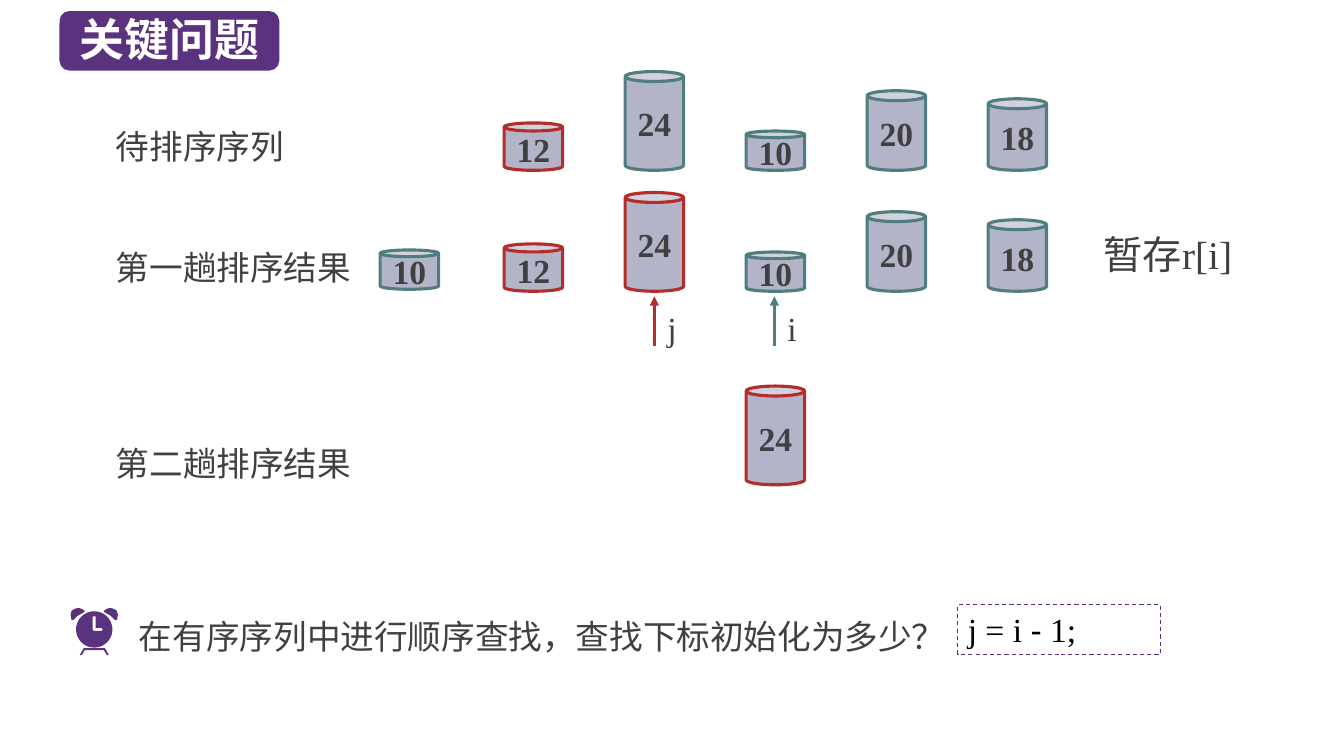
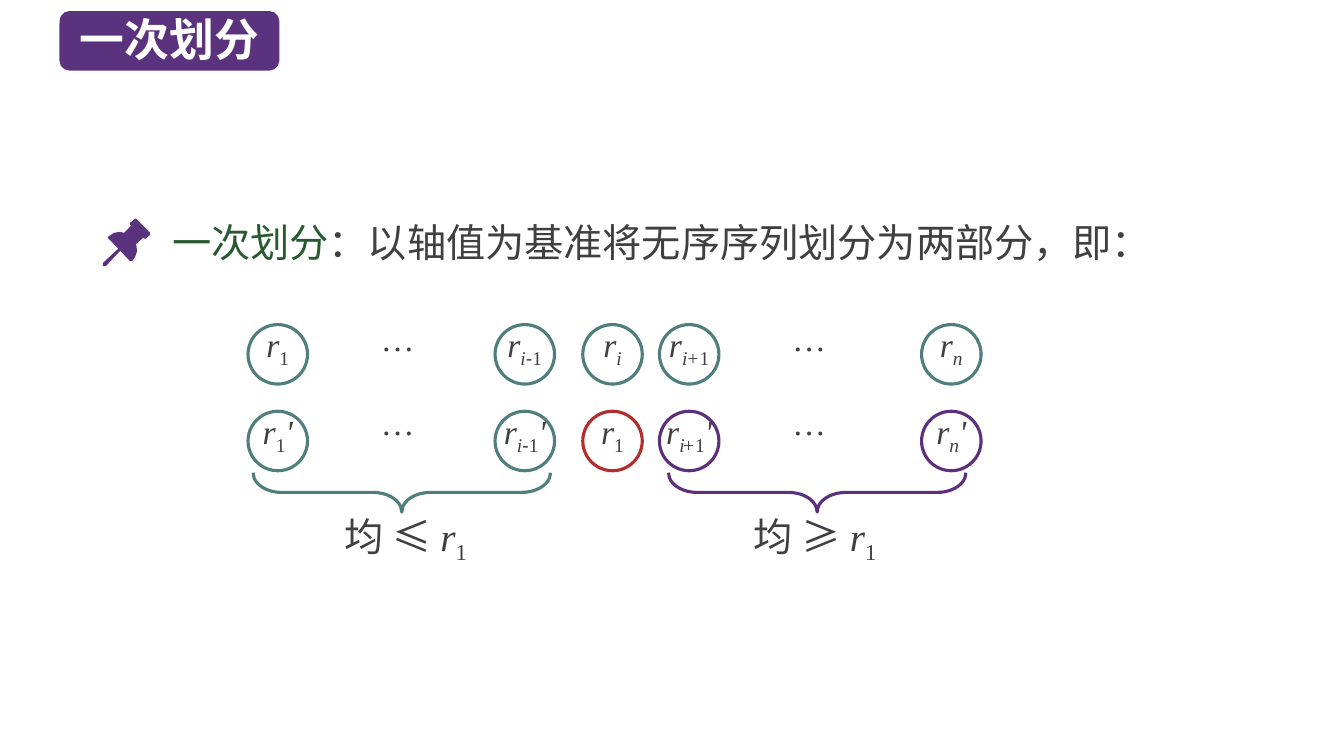
from dataclasses import dataclass
from itertools import product
from math import cos, pi, sin
from typing import NamedTuple, Optional

from lxml.etree import SubElement
from pptx import Presentation
from pptx.dml.color import RGBColor
from pptx.enum.dml import MSO_LINE_DASH_STYLE as Dash
from pptx.enum.shapes import MSO_CONNECTOR as Connector, MSO_SHAPE as Preset
from pptx.enum.text import MSO_ANCHOR as Anchor, PP_ALIGN as Align
from pptx.oxml.ns import qn
from pptx.util import Inches, Pt

PURPLE = RGBColor(0x5A, 0x32, 0x7D)
VIOLET = RGBColor(0x5C, 0x30, 0x7D)
TEAL = RGBColor(0x50, 0x7D, 0x7D)
RED = RGBColor(0xB4, 0x2D, 0x2D)
GREEN = RGBColor(0x28, 0x5A, 0x32)
LAVENDER = RGBColor(0xB4, 0xB4, 0xC8)
GRAY = RGBColor(0x40, 0x40, 0x40)
BLACK = RGBColor(0, 0, 0)
WHITE = RGBColor(0xFF, 0xFF, 0xFF)
SERIF = "Times New Roman"
SANS = "Noto Sans CJK SC"

CAN_HEIGHTS = {10: 0.39, 12: 0.47, 18: 0.71, 20: 0.79, 24: 0.98}
CAN_WIDTH = 0.58
FIRST_CAN, CAN_STEP = 5.0, 1.2
CIRCLE_SIZE = 0.59


class Box(NamedTuple):
    left: float
    top: float
    width: float
    height: float


class Piece(NamedTuple):
    text: str
    italic: bool = False
    subscript: bool = False
    font: Optional[str] = None
    color: Optional[RGBColor] = None


@dataclass
class Style:
    size: float = 24
    color: RGBColor = GRAY
    font: str = SERIF
    bold: bool = False
    align: Align = Align.LEFT
    line_spacing: Optional[float] = None
    tracking: float = 0


class Can(NamedTuple):
    value: int
    left: float
    bottom: float
    color: RGBColor


class Element(NamedTuple):
    left: float
    index: str
    color: RGBColor
    prime: bool = False
    tracking: float = 0


class Half(NamedTuple):
    brace_left: float
    text_left: float
    sign: str
    color: RGBColor


R = Piece("r", italic=True)
ONE = Piece("1", subscript=True)
PRIME = Piece("'", italic=True)
INDEXES = {
    "1": [ONE],
    "i": [Piece("i", True, True)],
    "n": [Piece("n", True, True)],
    "i-1": [Piece("i", True, True), Piece("-", subscript=True, font="Arial"), ONE],
    "i+1": [Piece("i+", True, True), ONE],
}
CIRCLE_ROWS = {
    3.22: [
        Element(2.46, "1", TEAL),
        Element(4.91, "i-1", TEAL, tracking=-0.7),
        Element(5.78, "i", TEAL),
        Element(6.54, "i+1", TEAL, tracking=-0.7),
        Element(9.14, "n", TEAL),
    ],
    4.08: [
        Element(2.46, "1", TEAL, True, -1),
        Element(4.91, "i-1", TEAL, True, -2),
        Element(5.78, "1", RED),
        Element(6.54, "i+1", VIOLET, True, -2),
        Element(9.14, "n", VIOLET, True, -1),
    ],
}


def write(frame, pieces: list[Piece], style: Style) -> None:
    paragraph = frame.paragraphs[0]
    paragraph.alignment = style.align
    if style.line_spacing:
        paragraph.line_spacing = style.line_spacing
    font = paragraph.font
    font.size, font.bold, font.name = Pt(style.size), style.bold, style.font
    font.color.rgb = style.color
    defaults = paragraph._p.pPr.find(qn("a:defRPr"))
    SubElement(defaults, qn("a:ea")).set("typeface", SANS)
    for piece in pieces:
        run = paragraph.add_run()
        run.text = piece.text
        if piece.italic:
            run.font.italic = True
        if piece.font:
            run.font.name = piece.font
        if piece.color is not None:
            run.font.color.rgb = piece.color
        properties = run._r.get_or_add_rPr()
        if piece.subscript:
            properties.set("baseline", "-25000")
        if style.tracking:
            properties.set("spc", str(round(style.tracking * 100)))


def add_text(slide, box: Box, pieces: list[Piece], style: Style) -> None:
    frame = slide.shapes.add_textbox(*map(Inches, box)).text_frame
    frame.word_wrap = True
    write(frame, pieces, style)


def add_preset(slide, preset: Preset, box: Box, fill: Optional[RGBColor] = None,
               line: Optional[RGBColor] = None, weight: float = 2.25):
    shape = slide.shapes.add_shape(preset, *map(Inches, box))
    shape.shadow.inherit = False
    if fill is None:
        shape.fill.background()
    else:
        shape.fill.solid()
        shape.fill.fore_color.rgb = fill
    if line is None:
        shape.line.fill.background()
    else:
        shape.line.color.rgb = line
        shape.line.width = Pt(weight)
    return shape


def set_frame(shape, anchor: Anchor, side: float = 0, bottom: float = 0):
    frame = shape.text_frame
    frame.word_wrap = False
    frame.vertical_anchor = anchor
    frame.margin_left = frame.margin_right = Inches(side)
    frame.margin_top, frame.margin_bottom = 0, Inches(bottom)
    return frame


def add_title(slide, title: str) -> None:
    badge = add_preset(slide, Preset.ROUNDED_RECTANGLE, Box(0.59, 0.11, 2.18, 0.59), PURPLE)
    write(set_frame(badge, Anchor.MIDDLE, bottom=0.04), [Piece(title)],
          Style(32, WHITE, SANS, True, Align.CENTER))


def add_can(slide, can: Can) -> None:
    height = CAN_HEIGHTS[can.value]
    shape = add_preset(slide, Preset.CAN, Box(can.left, can.bottom - height, CAN_WIDTH, height),
                       LAVENDER, can.color)
    shape.adjustments[0] = 0.17
    write(set_frame(shape, Anchor.MIDDLE), [Piece(str(can.value))],
          Style(bold=True, align=Align.CENTER))


def add_pointer(slide, x: float, label: str, color: RGBColor) -> None:
    arrow = slide.shapes.add_connector(
        Connector.STRAIGHT, Inches(x), Inches(3.43), Inches(x), Inches(2.94))
    arrow.line.color.rgb = color
    arrow.line.width = Pt(2.25)
    SubElement(arrow.line._get_or_add_ln(), qn("a:tailEnd")).set("type", "triangle")
    SubElement(arrow._element.spPr, qn("a:effectLst"))
    add_text(slide, Box(x + 0.03, 3.01, 0.31, 0.5), [Piece(label)], Style())


def add_outline(slide, *contours: list[tuple[float, float]]) -> None:
    builder = None
    for contour in contours:
        start, *others = [(Inches(x), Inches(y)) for x, y in contour]
        if builder is None:
            builder = slide.shapes.build_freeform(*start, scale=1.0)
        else:
            builder.move_to(*start)
        builder.add_line_segments(others, close=True)
    shape = builder.convert_to_shape()
    shape.shadow.inherit = False
    shape.fill.solid()
    shape.fill.fore_color.rgb = PURPLE
    shape.line.fill.background()


def add_clock(slide) -> None:
    center_x, center_y, radius, steps = 0.935, 6.245, 0.18, 48
    ear = [(0.78, 6.03), (0.74, 6.04), (0.71, 6.06), (0.7, 6.1), (0.71, 6.15),
           (0.73, 6.15), (0.77, 6.11), (0.84, 6.07), (0.84, 6.06), (0.81, 6.04)]
    legs = [(0.79, 6.5), (0.83, 6.43), (1.04, 6.43), (1.08, 6.5),
            (1.06, 6.5), (1.03, 6.45), (0.84, 6.45), (0.81, 6.5)]
    face = [(center_x + radius * cos(2 * pi * step / steps),
             center_y + radius * sin(2 * pi * step / steps)) for step in range(steps)]
    hands = [(0.92, 6.12), (0.92, 6.25), (0.93, 6.26), (1.01, 6.26), (1.02, 6.25),
             (1.01, 6.23), (0.95, 6.23), (0.95, 6.12), (0.94, 6.11)]
    add_outline(slide, ear)
    add_outline(slide, [(2 * center_x - x, y) for x, y in ear])
    add_outline(slide, legs)
    add_outline(slide, face, hands)


def add_pin(slide) -> None:
    add_outline(slide, [
        (1.34, 2.17), (1.29, 2.21), (1.29, 2.23), (1.3, 2.24), (1.23, 2.31), (1.19, 2.3),
        (1.13, 2.31), (1.07, 2.35), (1.07, 2.36), (1.29, 2.59), (1.31, 2.59), (1.34, 2.55),
        (1.36, 2.49), (1.35, 2.42), (1.42, 2.36), (1.44, 2.37), (1.49, 2.33), (1.49, 2.31),
        (1.35, 2.17)])
    add_outline(slide, [(1.02, 2.64), (1.02, 2.61), (1.18, 2.46), (1.2, 2.46),
                        (1.2, 2.48), (1.05, 2.64)])


def add_circle(slide, top: float, element: Element) -> None:
    circle = add_preset(slide, Preset.OVAL, Box(element.left, top, CIRCLE_SIZE, CIRCLE_SIZE),
                        line=element.color)
    side = 0 if element.index == "i-1" else 0.1
    pieces = [R, *INDEXES[element.index]] + ([PRIME] if element.prime else [])
    write(set_frame(circle, Anchor.MIDDLE, side), pieces,
          Style(align=Align.CENTER, line_spacing=Pt(22), tracking=element.tracking))


def add_half(slide, half: Half) -> None:
    brace = add_preset(slide, Preset.LEFT_BRACE, Box(half.brace_left, 3.41, 0.39, 2.95),
                       line=half.color)
    brace.rotation = 270
    brace.adjustments[0] = 0.73
    add_text(slide, Box(half.text_left, 5.03, 2.17, 0.57),
             [Piece(f"均 {half.sign} "), R, ONE], Style(28))


def build_insertion_slide(slide) -> None:
    add_title(slide, "关键问题")
    values = [12, 24, 10, 20, 18]
    for bottom, sorted_count in ((1.69, 1), (2.89, 2)):
        for column, value in enumerate(values):
            color = RED if column < sorted_count else TEAL
            add_can(slide, Can(value, FIRST_CAN + column * CAN_STEP, bottom, color))
    add_can(slide, Can(24, FIRST_CAN + 2 * CAN_STEP, 4.81, RED))
    add_can(slide, Can(10, 3.77, 2.87, TEAL))
    for top, label in ((1.2, "待排序序列"), (2.4, "第一趟排序结果"), (4.34, "第二趟排序结果")):
        add_text(slide, Box(1.05, top, 2.75, 0.5), [Piece(label)], Style(font=SANS))
    add_pointer(slide, 6.49, "j", RED)
    add_pointer(slide, 7.68, "i", TEAL)
    add_text(slide, Box(10.85, 2.24, 1.74, 0.57), [Piece("暂存r[i]")], Style(28))
    add_clock(slide)
    add_text(slide, Box(1.28, 5.94, 8.25, 0.63),
             [Piece("在有序序列中进行顺序查找，查找下标初始化为多少？")], Style(line_spacing=1.3))
    answer = add_preset(slide, Preset.RECTANGLE, Box(9.5, 6, 2.01, 0.49), line=VIOLET, weight=0.75)
    answer.line.dash_style = Dash.DASH
    frame = set_frame(answer, Anchor.TOP, 0.1)
    frame.word_wrap = True
    frame.margin_top = Inches(0.05)
    write(frame, [Piece("j = i "), Piece("-", font="Arial"), Piece(" 1;")],
          Style(color=BLACK, line_spacing=Pt(28)))


def build_partition_slide(slide) -> None:
    add_title(slide, "一次划分")
    add_pin(slide)
    add_text(slide, Box(1.61, 2.12, 10.87, 0.57),
             [Piece("一次划分", color=GREEN), Piece("：以轴值为基准将无序序列划分为两部分，即：")],
             Style(28, font=SANS))
    for top, elements in CIRCLE_ROWS.items():
        for element in elements:
            add_circle(slide, top, element)
    for left, top in product((3.44, 7.52), (3.2, 4.03)):
        add_text(slide, Box(left, top, 1.01, 0.41), [Piece("…")],
                 Style(align=Align.CENTER, line_spacing=Pt(22)))
    for half in (Half(3.79, 3.32, "≤", TEAL), Half(7.91, 7.38, "≥", VIOLET)):
        add_half(slide, half)


def main() -> None:
    presentation = Presentation()
    presentation.slide_width, presentation.slide_height = Inches(13.33), Inches(7.5)
    for build in (build_insertion_slide, build_partition_slide):
        build(presentation.slides.add_slide(presentation.slide_layouts[6]))
    presentation.save("out.pptx")


if __name__ == "__main__":
    main()
